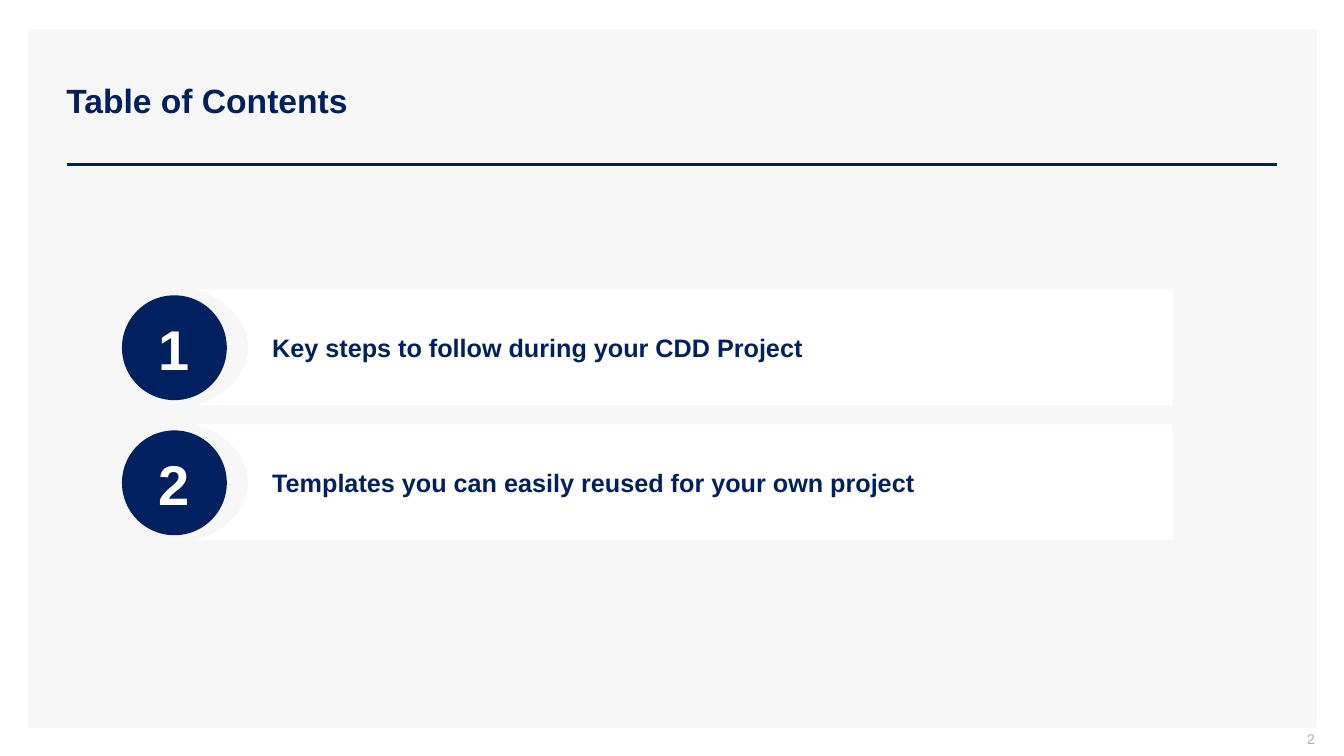
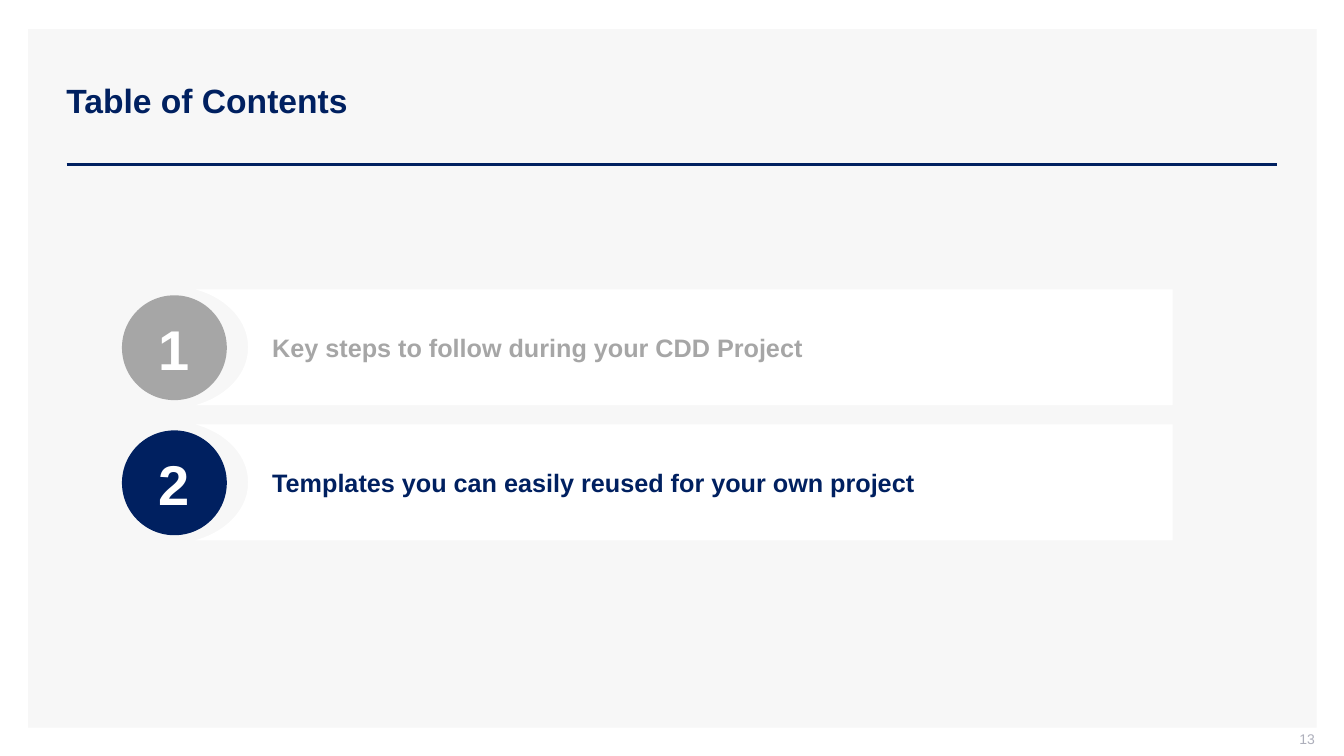
from pptx import Presentation
from pptx.dml.color import RGBColor
from pptx.enum.shapes import MSO_CONNECTOR, MSO_SHAPE
from pptx.enum.text import MSO_ANCHOR, PP_ALIGN
from pptx.oxml.ns import qn
from pptx.util import Pt
from lxml.etree import SubElement

PX = 9144  # EMU in one px, 100 px to the inch
NAVY = RGBColor(0x00, 0x20, 0x60)
MUTED = RGBColor(0xA6, 0xA6, 0xA6)
PANEL = RGBColor(0xF7, 0xF7, 0xF7)
WHITE = RGBColor(0xFF, 0xFF, 0xFF)
FOOTER = RGBColor(0xAD, 0xAF, 0xBB)
FONT = "Arial"

CHAPTERS = (
    "Key steps to follow during your CDD Project",
    "Templates you can easily reused for your own project",
)
CONTENTS_BOX = (121, 287, 1042, 249)
ROW_HEIGHT = 115
BADGE_SIZE = 104
BAR_INSET = 73
CURVE_STEPS = 16
# Lower half of the bar's notch, a Bezier curve relative to the bar's corner
NOTCH = ((3, 114), (32, 105), (52, 83), (52, 58))


def px(*lengths):
    return [round(length * PX) for length in lengths]


def write(shape, text, size, color, bold=True, align=PP_ALIGN.LEFT, margins=(10, 5, 10, 5)):
    frame = shape.text_frame
    frame.word_wrap = True
    frame.vertical_anchor = MSO_ANCHOR.MIDDLE
    (frame.margin_left, frame.margin_top,
     frame.margin_right, frame.margin_bottom) = px(*margins)
    para = frame.paragraphs[0]
    para.text = text
    para.alignment = align
    font = para.runs[0].font
    font.name, font.size, font.bold = FONT, Pt(size), bold
    font.color.rgb = color


def paint(shape, color):
    shape.shadow.inherit = False
    shape.fill.solid()
    shape.fill.fore_color.rgb = color
    shape.line.fill.background()


def add_frame(page, title, number):
    """Place the grey panel, title, rule and page number."""
    panel = page.shapes.add_shape(MSO_SHAPE.RECTANGLE, *px(28, 29, 1278, 693))
    paint(panel, PANEL)
    rule = page.shapes.add_connector(MSO_CONNECTOR.STRAIGHT, *px(66, 163, 1267, 163))
    rule.line.color.rgb = NAVY
    rule.line.width = Pt(2)
    SubElement(rule._element.spPr, qn("a:effectLst"))
    write(page.shapes.add_textbox(*px(56, 40, 1211, 119)), title, 24, NAVY)
    write(page.shapes.add_textbox(*px(1004, 725, 300, 21)), str(number), 10, FOOTER,
          bold=False, align=PP_ALIGN.RIGHT, margins=(10, 0, 0, 5))


def notch_points(height):
    """Sample the lower curve, then mirror it for the upper one."""
    lower = []
    for step in range(CURVE_STEPS + 1):
        t = step / CURVE_STEPS
        weights = ((1 - t) ** 3, 3 * t * (1 - t) ** 2, 3 * t * t * (1 - t), t ** 3)
        lower.append(tuple(sum(w * point[axis] for w, point in zip(weights, NOTCH))
                           for axis in (0, 1)))
    return lower + [(x, height - y) for x, y in reversed(lower)]


def add_bar(page, left, top, width, height):
    outline = [(width, 0), (width, height), (0, height), *notch_points(height)]
    builder = page.shapes.build_freeform(0, 0)
    builder.add_line_segments([px(*point) for point in outline], close=True)
    bar = builder.convert_to_shape(*px(left, top))
    paint(bar, WHITE)
    return bar


def add_chapter(page, left, top, width, number, text, color):
    bar = add_bar(page, left + BAR_INSET, top, width - BAR_INSET, ROW_HEIGHT)
    write(bar, text, 18, color, margins=(76, 5, 10, 5))
    badge_top = top + (ROW_HEIGHT - BADGE_SIZE + 1) // 2
    badge = page.shapes.add_shape(
        MSO_SHAPE.OVAL, *px(left, badge_top, BADGE_SIZE, BADGE_SIZE))
    paint(badge, color)
    write(badge, str(number), 40, WHITE, align=PP_ALIGN.CENTER)


def add_contents(page, box, active):
    """Spread the chapters evenly over the box, muting those not active."""
    left, top, width, height = box
    pitch = (height - ROW_HEIGHT) // (len(CHAPTERS) - 1)
    for index, text in enumerate(CHAPTERS):
        number = index + 1
        color = NAVY if number in active else MUTED
        add_chapter(page, left, top + index * pitch, width, number, text, color)


def main():
    deck = Presentation()
    deck.slide_width, deck.slide_height = px(1333, 750)
    for page_number, active in ((2, (1, 2)), (13, (2,))):
        page = deck.slides.add_slide(deck.slide_layouts[6])
        add_frame(page, "Table of Contents", page_number)
        add_contents(page, CONTENTS_BOX, active)
    deck.save("out.pptx")


if __name__ == "__main__":
    main()
